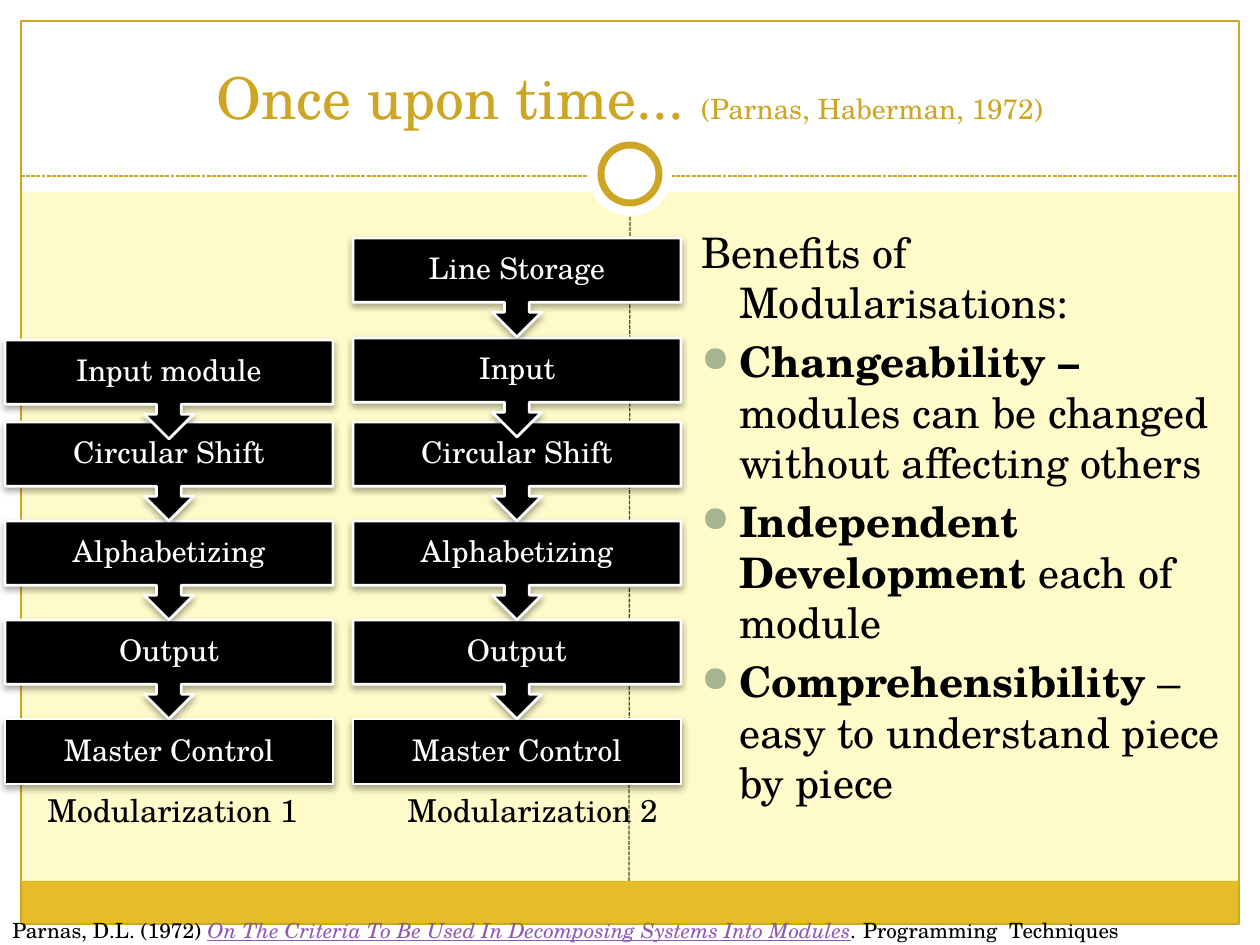
from lxml import etree
from pptx import Presentation, util as u
from pptx.dml.color import RGBColor
from pptx.enum import dml, shapes, text
from pptx.oxml.ns import qn

PX = 914400 // 126
FONT = "TeX Gyre Schola"
WHITE, BLACK = RGBColor(255, 255, 255), RGBColor(0, 0, 0)
CREAM, AMBER = RGBColor(0xFE, 0xFA, 0xC9), RGBColor(0xE7, 0xBC, 0x29)
GOLD, OLIVE = RGBColor(0xCC, 0xA6, 0x24), RGBColor(0x44, 0x4D, 0x26)
SAGE, PURPLE = RGBColor(0xA5, 0xB5, 0x92), RGBColor(0x8E, 0x58, 0xB6)

# Content: runs are (wording, format)
title = [("Once upon time... ", dict(size=33)), ("(Parnas, Haberman, 1972)", dict(size=16))]
benefits = [
    [("Benefits of Modularisations:", {})],
    [("Changeability – ", dict(bold=True)),
     ("modules can be changed without affecting others", {})],
    [("Independent Development ", dict(bold=True)), ("each of module", {})],
    [("Comprehensibility", dict(bold=True)),
     (" – easy to understand piece by piece", {})],
]
shared_steps = ["Circular Shift", "Alphabetizing", "Output", "Master Control"]
# (left, caption left, caption, own first steps with their tops)
modularizations = [
    (5, 35, "Modularization 1", [("Input module", 340)]),
    (353, 395, "Modularization 2", [("Line Storage", 238), ("Input", 338)]),
]
citation = [
    ("Parnas, D.L. (1972) ", {}),
    ("On The Criteria To Be Used In Decomposing Systems Into Modules",
     dict(color=PURPLE, italic=True, underline=True)),
    (". ", dict(italic=True)),
    ("Programming  Techniques ", {}),
]
SHARED_TOP, STEP, BOX_W, BOX_H = 422, 99, 328, 65

prs = Presentation()
prs.slide_width, prs.slide_height = 1260 * PX, 945 * PX
slide = prs.slides.add_slide(prs.slide_layouts[6])
slide.background.fill.solid()
slide.background.fill.fore_color.rgb = CREAM


def add_box(kind, left, top, width, height, fill=None, line=None, weight=0.75):
    box = slide.shapes.add_shape(kind, left * PX, top * PX, width * PX, height * PX)
    box.shadow.inherit = False
    if fill is None:
        box.fill.background()
    else:
        box.fill.solid()
        box.fill.fore_color.rgb = fill
    if line is None:
        box.line.fill.background()
    else:
        box.line.color.rgb = line
        box.line.width = u.Pt(weight)
    return box


def add_dashes(x1, y1, x2, y2, color):
    dashes = slide.shapes.add_connector(
        shapes.MSO_CONNECTOR.STRAIGHT, x1 * PX, y1 * PX, x2 * PX, y2 * PX)
    dashes.line.color.rgb = color
    dashes.line.width = u.Pt(0.75)
    dashes.line.dash_style = dml.MSO_LINE.SQUARE_DOT
    etree.SubElement(dashes._element.spPr, qn("a:effectLst"))


def write_runs(paragraph, runs, size, color):
    for wording, look in runs:
        run = paragraph.add_run()
        run.text = wording
        font = run.font
        font.name = FONT
        font.size = u.Pt(look.get("size", size))
        font.color.rgb = look.get("color", color)
        font.bold = look.get("bold", False)
        font.italic = look.get("italic", False)
        font.underline = look.get("underline", False)


def add_text(left, top, width, height, paragraphs, size, color=BLACK):
    frame = slide.shapes.add_textbox(
        left * PX, top * PX, width * PX, height * PX).text_frame
    frame.word_wrap = True
    for i, runs in enumerate(paragraphs):
        paragraph = frame.add_paragraph() if i else frame.paragraphs[0]
        write_runs(paragraph, runs, size, color)
    return frame


def add_bullet(paragraph):
    props = paragraph._p.get_or_add_pPr()
    etree.SubElement(etree.SubElement(props, qn("a:buClr")), qn("a:srgbClr"), val=str(SAGE))
    etree.SubElement(props, qn("a:buSzPct"), val="85000")
    etree.SubElement(props, qn("a:buChar"), char="●")


def add_soft_shadow(box):
    effects = box._element.spPr.find(qn("a:effectLst"))
    shadow = etree.SubElement(effects, qn("a:outerShdw"), blurRad=str(u.Pt(4)),
                              dist=str(u.Pt(2)), dir="5400000", rotWithShape="0")
    color = etree.SubElement(shadow, qn("a:srgbClr"), val=str(BLACK))
    etree.SubElement(color, qn("a:alpha"), val="35000")


def add_step(kind, left, top, height, label):
    box = add_box(kind, left, top, BOX_W, height, BLACK, WHITE, 1.57)
    add_soft_shadow(box)
    frame = box.text_frame
    frame.word_wrap = True
    frame.vertical_anchor = text.MSO_ANCHOR.MIDDLE
    frame.margin_left = frame.margin_right = 16 * PX
    frame.margin_top = frame.margin_bottom = 16 * PX
    paragraph = frame.paragraphs[0]
    paragraph.alignment = text.PP_ALIGN.CENTER
    paragraph.line_spacing = 0.9
    write_runs(paragraph, [(label, {})], 17, WHITE)


# Frame and header
RECT, OVAL = shapes.MSO_SHAPE.RECTANGLE, shapes.MSO_SHAPE.OVAL
for margin in [(0, 924, 1260, 21), (0, 0, 1260, 192), (0, 0, 21, 945), (1239, 0, 21, 945)]:
    add_box(RECT, *margin, fill=WHITE)
add_box(RECT, 21, 881, 1217, 43, fill=AMBER)
add_box(RECT, 21, 21, 1218, 903, line=GOLD)
add_dashes(21, 176, 1239, 176, GOLD)
add_box(OVAL, 588, 132, 84, 84, fill=WHITE)
add_box(OVAL, 601, 145, 58, 58, fill=WHITE, line=GOLD, weight=4)
add_dashes(629, 881, 630, 217, OLIVE)

heading = add_text(42, 32, 1176, 105, [title], 33, GOLD)
heading.vertical_anchor = text.MSO_ANCHOR.BOTTOM
heading.paragraphs[0].alignment = text.PP_ALIGN.CENTER

# Benefits
benefit_list = add_text(689, 220, 571, 725, benefits, 24)
for i, benefit in enumerate(benefit_list.paragraphs):
    benefit.space_before = u.Pt(5)
    benefit._p.get_or_add_pPr().set("marL", str(38 * PX))
    benefit._p.get_or_add_pPr().set("indent", str(-38 * PX))
    if i:
        add_bullet(benefit)

# Step chains, drawn from the bottom so each arrow overlaps the next box
shared = [(label, SHARED_TOP + i * STEP) for i, label in enumerate(shared_steps)]
for left, caption_left, caption, first_steps in modularizations:
    *arrows, (last, last_top) = first_steps + shared
    add_step(RECT, left, last_top, BOX_H, last)
    for label, top in reversed(arrows):
        add_step(shapes.MSO_SHAPE.DOWN_ARROW_CALLOUT, left, top, STEP, label)
    add_text(caption_left, 785, 284, 50, [[(caption, {})]], 18)

# Source
add_text(0, 911, 1260, 34, [citation], 12)

prs.save("out.pptx")
